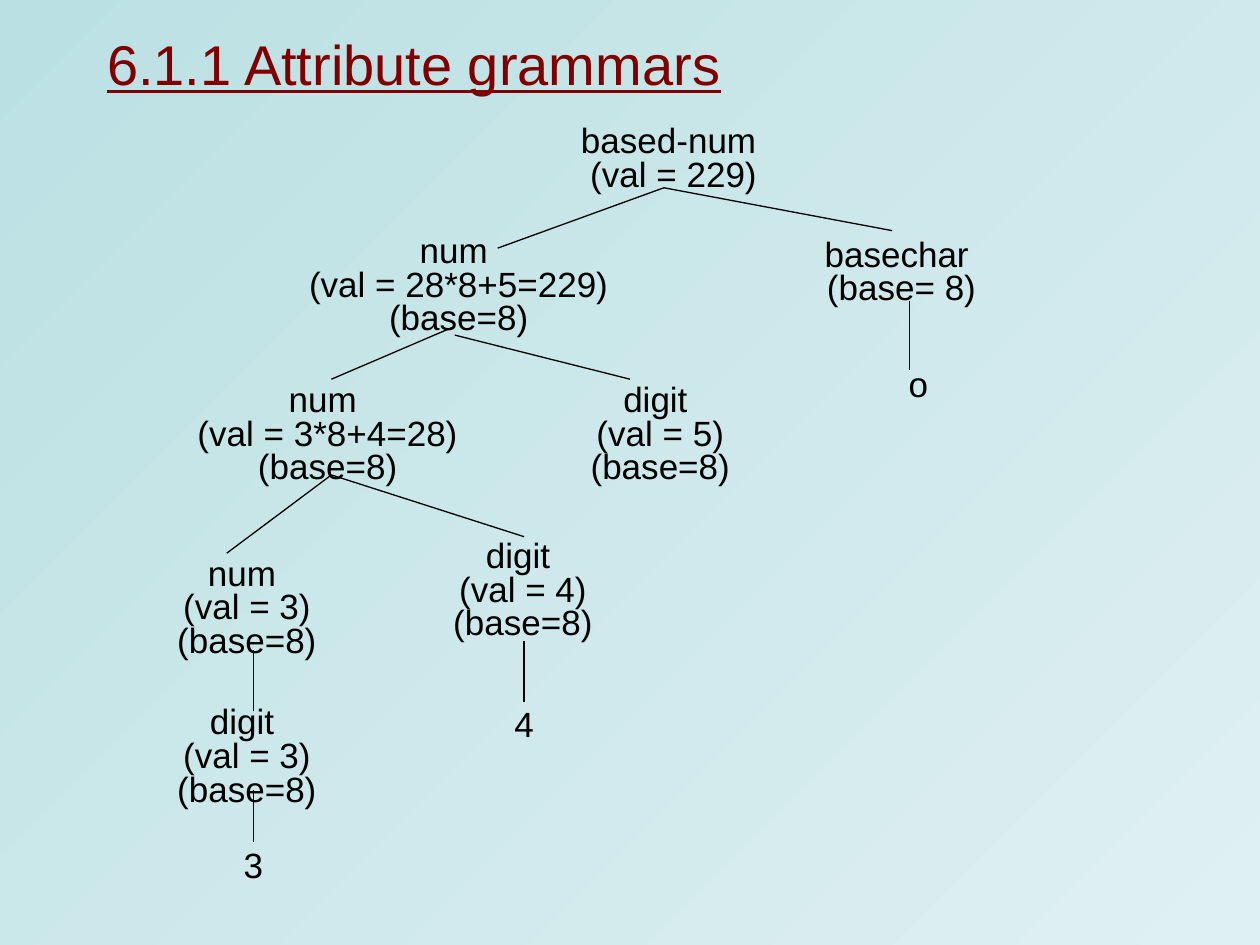
import pptx
import pptx.dml.color
import pptx.enum.shapes
import pptx.enum.text
import pptx.oxml
import pptx.util

Pt = pptx.util.Pt
FONT = "Arial"
BLACK = "000000"
HEIGHT_BY_LINES = {1: 29.9, 2: 39.6, 3: 54.7}

# Lines of text, left, top, width
TREE_NODES = [
    (["based-num ", "(val = 229)"], 329.8, 72, 110.2),
    (["num ", "(val = 28*8+5=229)", "(base=8)"], 194.4, 136.8, 135.4),
    (["basechar ", "(base= 8)"], 460.1, 136.8, 110.2),
    (["num ", "(val = 3*8+4=28)", "(base=8)"], 119.5, 221.8, 135.4),
    (["digit ", "(val = 5)", "(base=8)"], 309.6, 221.8, 135.4),
    (["num ", "(val = 3)", "(base=8)"], 102.2, 321.1, 77.8),
    (["digit ", "(val = 4)", "(base=8)"], 259.9, 311, 77.8),
    (["digit ", "(val = 3)", "(base=8)"], 102.2, 406.1, 77.8),
    (["3"], 124.6, 481, 40.3),
    (["4"], 279.4, 401, 40.3),
    (["o"], 504.7, 206.6, 40.3),
]

# Start x, start y, end x, end y
BRANCHES = [
    (379.4, 107.3, 284.4, 141.8),
    (379.4, 107.3, 509.8, 131.8),
    (259.9, 186.5, 189.4, 216.7),
    (259.9, 191.5, 360, 216.7),
    (189.4, 271.4, 129.6, 316.1),
    (189.4, 271.4, 299.5, 306.7),
    (144.7, 371.5, 144.7, 406.1),
    (144.7, 451.4, 144.7, 481),
    (299.5, 366.5, 299.5, 401),
    (519.8, 172.1, 519.8, 211.7),
]


def color(hex_string):
    return pptx.dml.color.RGBColor.from_string(hex_string)


def paint_background(slide):
    fill = slide.background.fill
    fill.gradient()
    fill.gradient_angle = 315
    for stop, shade in zip(fill.gradient_stops, ("BBE0E3", "DFF0F2")):
        stop.color.rgb = color(shade)


def add_run(paragraph, text, size, hex_string):
    """Add a run of text with kerning switched off."""
    run = paragraph.add_run()
    run.text = text
    run.font.name = FONT
    run.font.size = Pt(size)
    run.font.color.rgb = color(hex_string)
    run._r.get_or_add_rPr().set("kern", "0")
    return run


def set_title(slide, text):
    title = slide.shapes.title
    title.left, title.top, title.width, title.height = Pt(54), Pt(18), Pt(612), Pt(36)
    frame = title.text_frame
    frame.auto_size = pptx.enum.text.MSO_AUTO_SIZE.NONE
    frame.vertical_anchor = pptx.enum.text.MSO_ANCHOR.MIDDLE
    paragraph = frame.paragraphs[0]
    paragraph.alignment = pptx.enum.text.PP_ALIGN.LEFT
    add_run(paragraph, text, 32, "800000").font.underline = True


def add_node(slide, lines, left, top, width):
    """Add an unfilled rectangle whose centred lines may run past its sides."""
    node = slide.shapes.add_shape(
        pptx.enum.shapes.MSO_SHAPE.RECTANGLE,
        Pt(left), Pt(top), Pt(width), Pt(HEIGHT_BY_LINES[len(lines)]))
    node.shadow.inherit = False
    node.fill.background()
    node.line.fill.background()
    frame = node.text_frame
    frame.word_wrap = False
    frame.vertical_anchor = pptx.enum.text.MSO_ANCHOR.MIDDLE
    for index, line in enumerate(lines):
        paragraph = frame.add_paragraph() if index else frame.paragraphs[0]
        paragraph.alignment = pptx.enum.text.PP_ALIGN.CENTER
        paragraph.line_spacing = 0.8
        add_run(paragraph, line, 20, BLACK)


def add_branch(slide, *ends):
    branch = slide.shapes.add_connector(
        pptx.enum.shapes.MSO_CONNECTOR.STRAIGHT, *(Pt(end) for end in ends))
    branch.line.color.rgb = color(BLACK)
    branch.line.width = Pt(0.75)
    properties = branch._element.spPr
    properties.append(pptx.oxml.parse_xml(
        '<a:effectLst xmlns:a="http://schemas.openxmlformats.org/drawingml/2006/main"/>'))


def main():
    presentation = pptx.Presentation()
    presentation.slide_width, presentation.slide_height = Pt(720), Pt(540)
    slide = presentation.slides.add_slide(presentation.slide_layouts[5])
    paint_background(slide)
    set_title(slide, "6.1.1 Attribute grammars")
    for node in TREE_NODES:
        add_node(slide, *node)
    for branch in BRANCHES:
        add_branch(slide, *branch)
    presentation.save("out.pptx")


if __name__ == "__main__":
    main()
